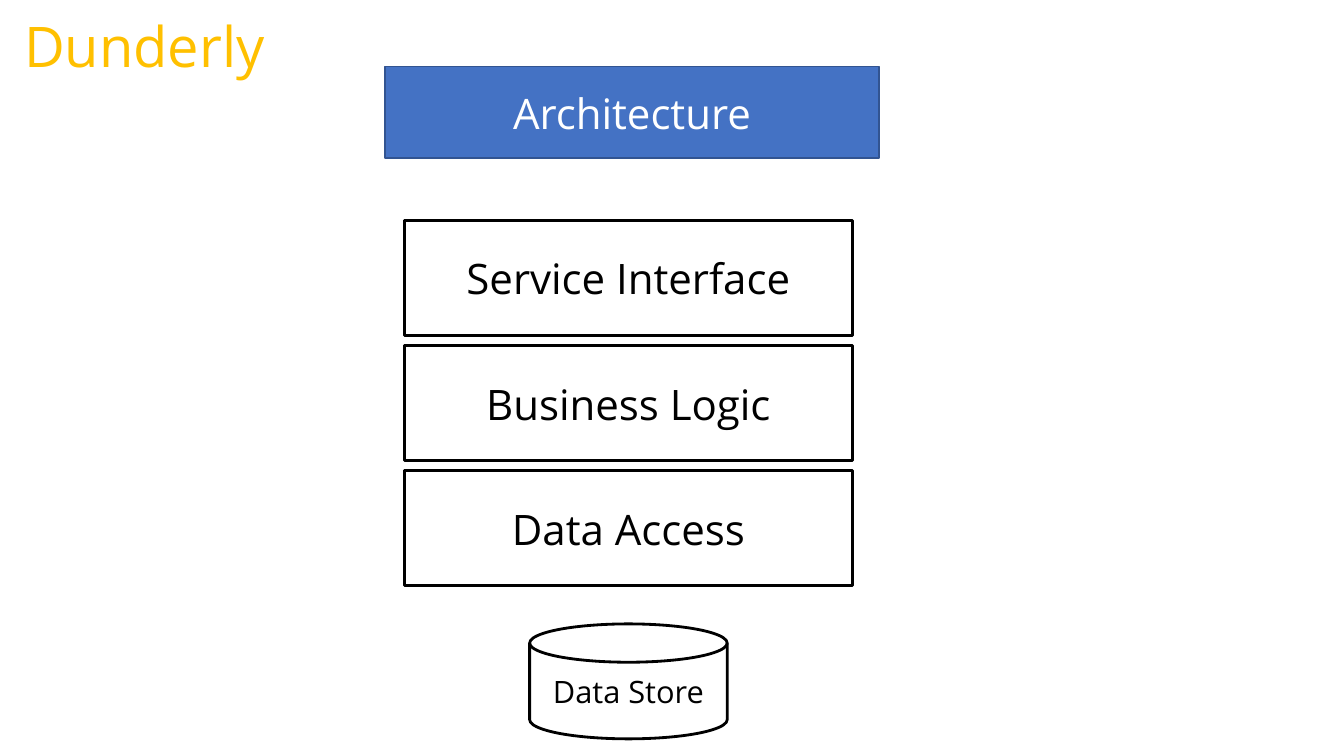
"""Build the layered architecture slide."""
from pptx import Presentation
from pptx.dml.color import RGBColor
from pptx.enum.shapes import MSO_SHAPE as Kind
from pptx.enum.text import MSO_ANCHOR as Anchor, MSO_AUTO_SIZE as Fit, PP_ALIGN as Align
from pptx.util import Pt

TITLE = "Dunderly"
HEADER = "Architecture"
LAYERS = ["Service Interface", "Business Logic", "Data Access"]
STORE = "Data Store"

FONT = "Open Sans"
HEX = {"title": "FFC000", "header": "4472C4", "edge": "325491",
       "light": "FFFFFF", "ink": "000000"}

LEFT, TOP, WIDTH, HEIGHT, GAP = 288.7, 157.7, 320.4, 82.1, 7.2
DISK = 141.1


def color(name):
    return RGBColor.from_string(HEX[name])


def write(shape, text, size, ink, align=Align.CENTER, anchor=Anchor.MIDDLE):
    frame = shape.text_frame
    frame.text = text
    frame.word_wrap = True
    frame.auto_size = Fit.NONE
    frame.vertical_anchor = anchor
    para = frame.paragraphs[0]
    para.alignment = align
    font = para.runs[0].font
    font.name, font.size = FONT, Pt(size)
    font.color.rgb = color(ink)


def block(slide, kind, box, text, size=30, ink="ink", fill=None, edge="ink", line=2):
    shape = slide.shapes.add_shape(kind, *map(Pt, box))
    shape.shadow.inherit = False
    if fill:
        shape.fill.solid()
        shape.fill.fore_color.rgb = color(fill)
    else:
        shape.fill.background()
    shape.line.color.rgb = color(edge)
    shape.line.width = Pt(line)
    write(shape, text, size, ink)


deck = Presentation()
deck.slide_width, deck.slide_height = Pt(960), Pt(540)
slide = deck.slides.add_slide(deck.slide_layouts.get_by_name("Title Only"))

title = slide.shapes.title
title.left, title.top, title.width, title.height = map(Pt, (10, 4.3, 198, 55.4))
write(title, TITLE, 40, "title", Align.LEFT, Anchor.TOP)

block(slide, Kind.RECTANGLE, (275, 47.5, 353, 65.5), HEADER,
      ink="light", fill="header", edge="edge", line=1)
for row, name in enumerate(LAYERS):
    top = TOP + row * (HEIGHT + GAP)
    block(slide, Kind.RECTANGLE, (LEFT, top, WIDTH, HEIGHT), name)
mid = LEFT + WIDTH / 2
block(slide, Kind.FLOWCHART_MAGNETIC_DISK,
      (mid - DISK / 2, 445.7, DISK, HEIGHT), STORE, size=22)

deck.save("out.pptx")
